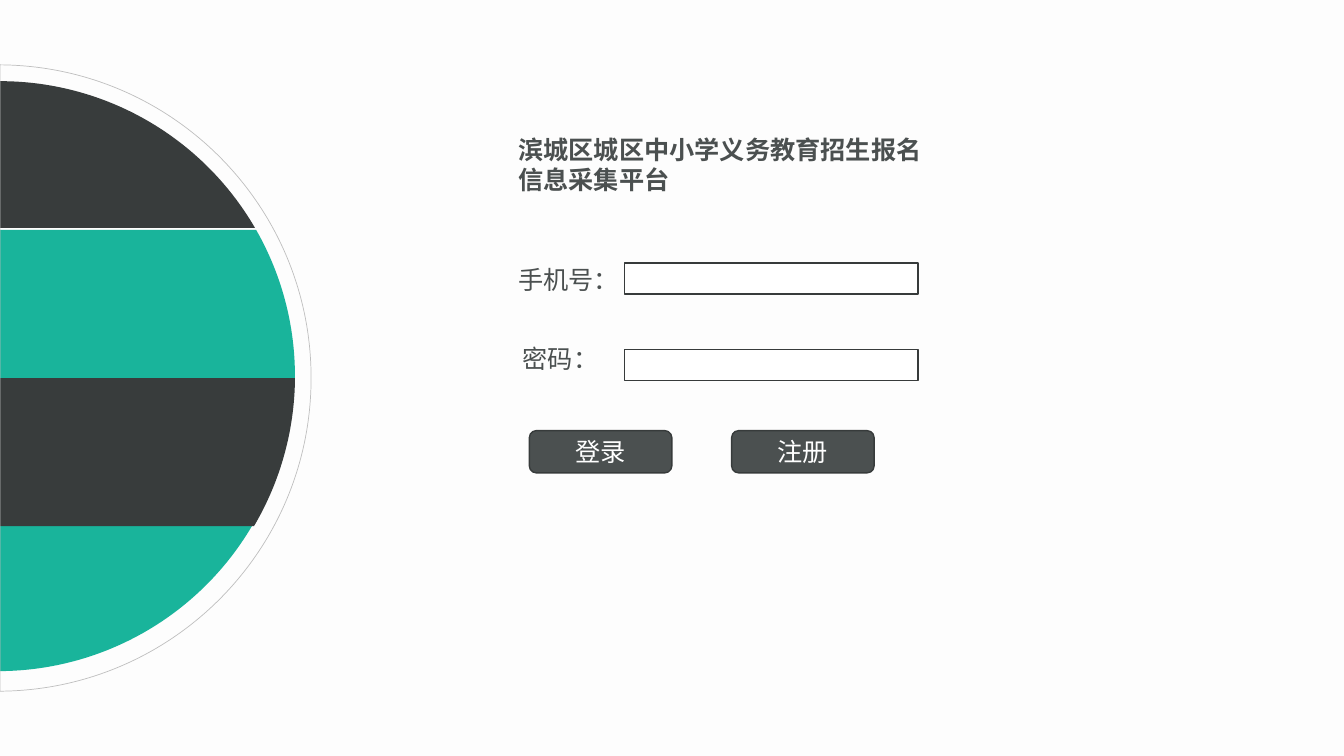
import math
import lxml.etree
import pptx
import pptx.util
import pptx.dml.color
import pptx.enum.shapes
import pptx.enum.text
import pptx.oxml.ns

Pt = pptx.util.Pt
KIND = pptx.enum.shapes.MSO_SHAPE
ALIGN = pptx.enum.text.PP_ALIGN
ANCHOR = pptx.enum.text.MSO_ANCHOR
FIT = pptx.enum.text.MSO_AUTO_SIZE
GREY, DARK, EDGE, TEAL = "4B5050", "383C3C", "373B3B", "19B49B"


def paint(color, value):
    """Set a colour format to a hex value."""
    color.rgb = pptx.dml.color.RGBColor.from_string(value)


def style(shape, fill=None, line=None, width=1):
    """Set the fill and line of a shape and drop its shadow."""
    shape.shadow.inherit = False
    if fill:
        shape.fill.solid()
        paint(shape.fill.fore_color, fill)
    else:
        shape.fill.background()
    if line:
        paint(shape.line.color, line)
        shape.line.width = Pt(width)
    else:
        shape.line.fill.background()


def write(shape, text, color=GREY, bold=False, align=ALIGN.LEFT,
          anchor=ANCHOR.TOP, wrap=False, fit=FIT.SHAPE_TO_FIT_TEXT):
    """Fill a shape with text, one paragraph for each line."""
    frame = shape.text_frame
    frame.text = text
    frame.word_wrap = wrap
    frame.auto_size = fit
    frame.vertical_anchor = anchor
    for para in frame.paragraphs:
        para.alignment = align
        font = para.runs[0].font
        font.name, font.size, font.bold = "Calibri", Pt(18), bold
        paint(font.color, color)


def bend(shape, count):
    """Turn the first line segments of an outline, three by three, into curves."""
    qn = pptx.oxml.ns.qn
    lines = list(shape._element.iter(qn("a:lnTo")))
    for i in range(0, 3 * count, 3):
        curve = lxml.etree.Element(qn("a:cubicBezTo"))
        lines[i].addprevious(curve)
        for line in lines[i:i + 3]:
            curve.append(line[0])
            line.getparent().remove(line)


def slice_disc(slide, hub, rad, top, end, count=1, **look):
    """Draw the part of a disc right of the slide edge between two heights."""
    x, y = hub
    most = math.acos(-x / rad)
    first = max(-most, math.asin((top - y) / rad))
    last = min(most, math.asin((end - y) / rad))
    step = (last - first) / count
    pull = rad * 4 / 3 * math.tan(step / 4)

    def spot(turn, push=0):
        """Give a point of the rim, pushed along its tangent."""
        c, s = math.cos(turn), math.sin(turn)
        return Pt(x + rad * c - push * s), Pt(y + rad * s + push * c)

    arc = []
    for i in range(count):
        a, b = first + i * step, first + (i + 1) * step
        arc += [spot(a, pull), spot(b, -pull), spot(b)]
    start = spot(first)
    if arc[-1][0] > Pt(1):
        arc.append((0, Pt(end)))
    if start[0] > Pt(1):
        arc.append((0, Pt(top)))
    pen = slide.shapes.build_freeform(*start)
    pen.add_line_segments(arc, close=True)
    shape = pen.convert_to_shape()
    bend(shape, count)
    style(shape, **look)


def add_disc(slide, left, top, size):
    """Draw the striped half disc and its thin ring in a square box."""
    rad = size / 2
    mid = top + rad
    y = mid - 1.3
    core = rad - 13
    bands = [(mid + 103.7, y + core, TEAL, -1.5), (mid, mid + 105.8, DARK, 0),
             (y - core, mid - 107.3, DARK, 0), (mid - 105.8, mid, TEAL, 0)]
    for start, end, fill, shift in bands:
        slice_disc(slide, (left + shift, y), core, start, end, fill=fill)
    slice_disc(slide, (left - 1.5, mid), rad, top, top + size, count=2,
               line="BFBFBF", width=0.5)


def add_head(slide, left, top, wide, high):
    """Place the title in the given box."""
    title = slide.shapes.title
    title.left, title.top = Pt(left), Pt(top)
    title.width, title.height = Pt(wide), Pt(high)
    write(title, "滨城区城区中小学义务教育招生报名\n信息采集平台", bold=True)


def add_form(slide, left, top, wide):
    """Place the labelled fields and the buttons below a corner point."""
    shapes = slide.shapes
    field = 209.5
    rows = [("手机号：", 0, 0, 87, 2.4), ("密码：", 3.3, 56.4, 69, 64.3)]
    for label, shift, drop, span, gap in rows:
        box = shapes.add_textbox(Pt(left + shift), Pt(top + drop),
                                 Pt(span), Pt(28.8))
        write(box, label)
        entry = shapes.add_shape(KIND.RECTANGLE, Pt(left + wide - field),
                                 Pt(top + gap), Pt(field), Pt(22.3))
        style(entry, "FFFFFF", EDGE)
    for i, label in enumerate(("登录", "注册")):
        key = shapes.add_shape(KIND.ROUNDED_RECTANGLE,
                               Pt(left + 15.1 + 144.5 * i), Pt(top + 122.2),
                               Pt(101.8), Pt(30.2))
        style(key, GREY, EDGE)
        write(key, label, color="FFFFFF", align=ALIGN.CENTER,
              anchor=ANCHOR.MIDDLE, wrap=True, fit=FIT.NONE)


def main():
    """Build the login slide and save it."""
    deck = pptx.Presentation()
    deck.slide_width, deck.slide_height = Pt(960), Pt(540)
    slide = deck.slides.add_slide(deck.slide_layouts[5])
    slide.background.fill.solid()
    paint(slide.background.fill.fore_color, "FDFDFD")
    add_disc(slide, 0, 46.3, 447.4)
    add_head(slide, 363, 92.2, 305, 51)
    add_form(slide, 363, 185.4, 292.8)
    deck.save("out.pptx")


main()
